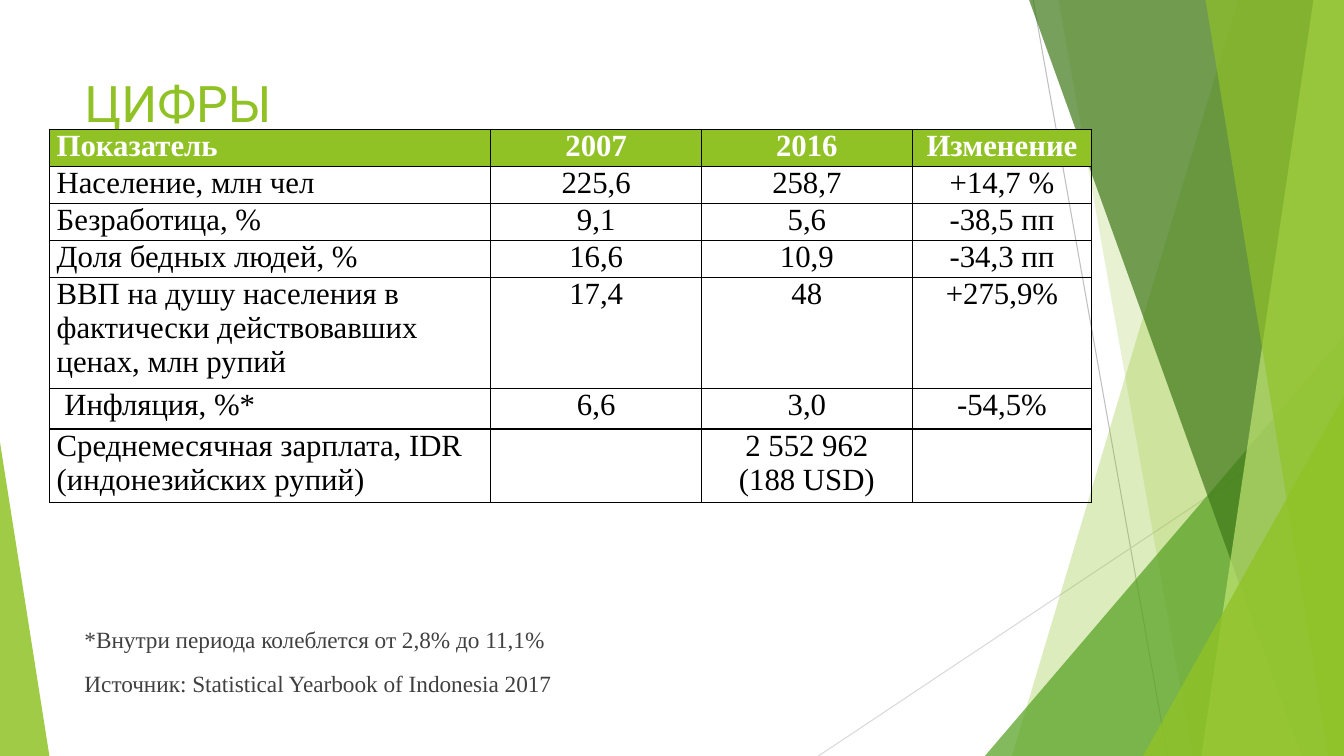
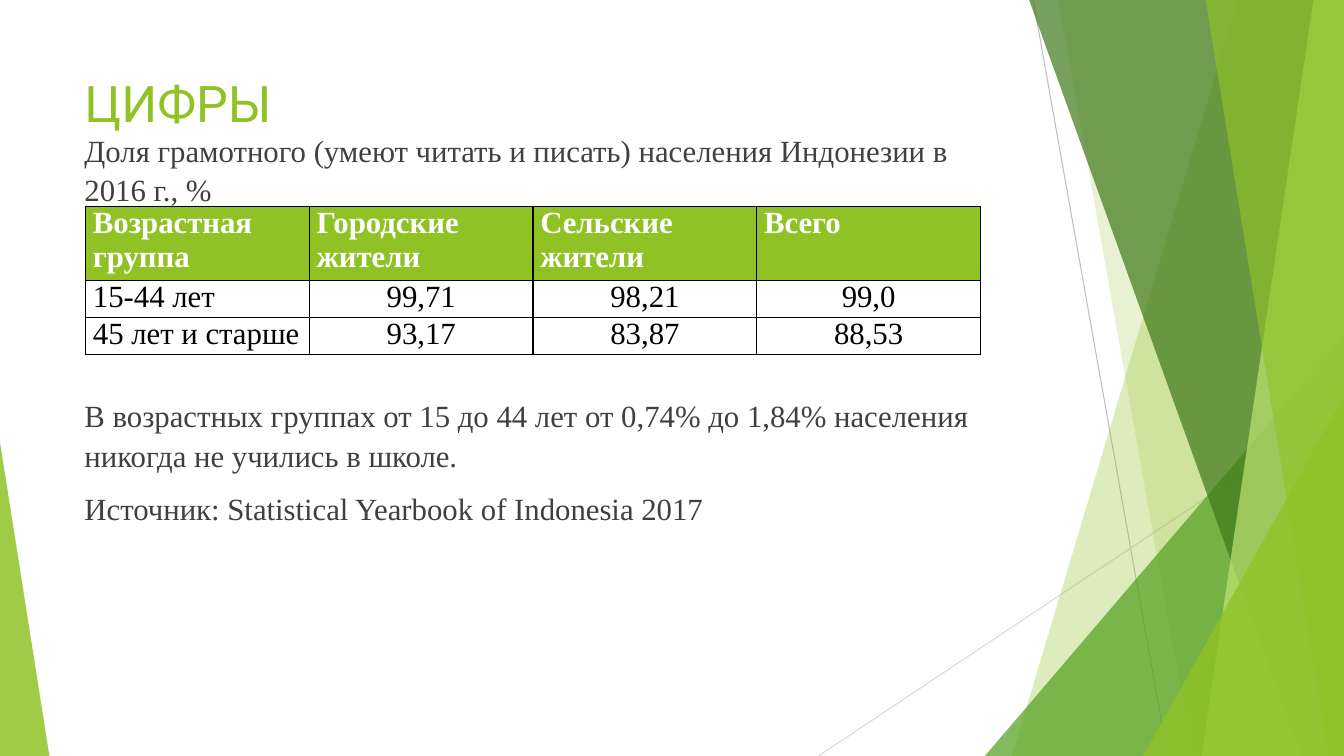
from lxml import etree
from pptx import Presentation
from pptx import util as u
from pptx.dml import color
from pptx.enum import shapes, text
from pptx.oxml import ns

GREEN, LEAF, FOREST, LIME = "90C226", "54A021", "3F7819", "C0E474"
WHITE, BLACK, GRAY = "FFFFFF", "000000", "404040"
TITLE_FONT, BODY_FONT = "Roboto", "Times New Roman"
WIDTH, HEIGHT = 960, 540
LEFT, TEXT_WIDTH = 53.3, 676.8
SOURCE = "Источник: Statistical Yearbook of Indonesia 2017"


def rgb(value):
    return color.RGBColor.from_string(value)


class Deck:
    def __init__(self):
        self.presentation = Presentation()
        self.presentation.slide_width = u.Pt(WIDTH)
        self.presentation.slide_height = u.Pt(HEIGHT)
        self.slide = None

    def add_slide(self, title):
        layout = self.presentation.slide_layouts[6]
        self.slide = self.presentation.slides.add_slide(layout)
        self.decorate()
        self.text_box(48.2, 103.7, [title], 36, TITLE_FONT, GREEN)

    def decorate(self):
        self.line(738, 0, 834, HEIGHT, "BFBFBF")
        self.line(WIDTH, 290, 584.6, HEIGHT, "D9D9D9")
        self.band(884.2, 722.9, GREEN, 30)
        self.band(756, 851.8, GREEN, 20)
        self.triangle(703.5, 239.8, WIDTH, 1, LEAF, 72)
        self.band(735.1, 929.5, FOREST, 70)
        self.band(938.2, 858.2, LIME, 70)
        self.band(861.1, 949, GREEN, 65)
        self.triangle(816.5, 283, WIDTH, 1, GREEN, 80)
        self.triangle(0, 316, 35.3, 0, GREEN, 85)

    def line(self, x1, y1, x2, y2, stroke):
        connector = self.slide.shapes.add_connector(
            shapes.MSO_CONNECTOR.STRAIGHT, u.Pt(x1), u.Pt(y1), u.Pt(x2), u.Pt(y2))
        connector.line.color.rgb = rgb(stroke)
        connector.line.width = u.Pt(0.75)
        etree.SubElement(connector._element.spPr, ns.qn("a:effectLst"))

    def band(self, top_x, bottom_x, fill, opacity):
        builder = self.slide.shapes.build_freeform(u.Pt(top_x), 0)
        corners = [(WIDTH, 0), (WIDTH, HEIGHT), (bottom_x, HEIGHT)]
        builder.add_line_segments([(u.Pt(x), u.Pt(y)) for x, y in corners])
        self.paint(builder.convert_to_shape(), fill, opacity)

    def triangle(self, left, top, right, apex, fill, opacity):
        shape = self.slide.shapes.add_shape(
            shapes.MSO_SHAPE.ISOSCELES_TRIANGLE, u.Pt(left), u.Pt(top),
            u.Pt(right - left), u.Pt(HEIGHT - top))
        shape.adjustments[0] = apex
        self.paint(shape, fill, opacity)

    def paint(self, shape, fill, opacity):
        shape.shadow.inherit = False
        shape.line.fill.background()
        shape.fill.solid()
        shape.fill.fore_color.rgb = rgb(fill)
        tint = shape._element.spPr.find(".//" + ns.qn("a:srgbClr"))
        etree.SubElement(tint, ns.qn("a:alpha"), val=str(opacity * 1000))

    def style(self, paragraph, size, font, fill, bold=False):
        for run in paragraph.runs:
            run.font.size = u.Pt(size)
            run.font.name = font
            run.font.bold = bold
            run.font.color.rgb = rgb(fill)

    def text_box(self, top, height, lines, size, font=BODY_FONT, fill=GRAY, spacing=1):
        shape = self.slide.shapes.add_textbox(
            u.Pt(LEFT), u.Pt(top), u.Pt(TEXT_WIDTH), u.Pt(height))
        frame = shape.text_frame
        frame.word_wrap = True
        frame.text = "\n".join(lines)
        for index, paragraph in enumerate(frame.paragraphs):
            paragraph.line_spacing = spacing
            paragraph.space_before = u.Pt(10 if index else 0)
            self.style(paragraph, size, font, fill)

    def body(self, top, height, lines, size):
        self.text_box(top, height, lines, size, spacing=1.07)

    def table(self, left, top, widths, heights, rows, center_header):
        frame = self.slide.shapes.add_table(
            len(rows), len(widths), u.Pt(left), u.Pt(top),
            u.Pt(sum(widths)), u.Pt(sum(heights)))
        table = frame.table
        table.horz_banding = False
        for column, width in zip(table.columns, widths):
            column.width = u.Pt(width)
        for row, height in zip(table.rows, heights):
            row.height = u.Pt(height)
        for row_index, values in enumerate(rows):
            header = row_index == 0
            for column_index, value in enumerate(values):
                centered = column_index > 0 and (center_header or not header)
                self.cell(table.cell(row_index, column_index), value, header, centered)

    def cell(self, cell, value, header, centered):
        cell.margin_left = cell.margin_right = u.Pt(5.2)
        cell.margin_top = cell.margin_bottom = 0
        self.borders(cell)
        if header:
            cell.fill.solid()
            cell.fill.fore_color.rgb = rgb(GREEN)
        else:
            cell.fill.background()
        cell.text_frame.text = value
        for paragraph in cell.text_frame.paragraphs:
            if centered:
                paragraph.alignment = text.PP_ALIGN.CENTER
            self.style(paragraph, 22, BODY_FONT, WHITE if header else BLACK, header)

    def borders(self, cell):
        properties = cell._tc.get_or_add_tcPr()
        for side in ("lnL", "lnR", "lnT", "lnB"):
            border = etree.SubElement(properties, ns.qn("a:" + side), w=str(u.Pt(1)))
            fill = etree.SubElement(border, ns.qn("a:solidFill"))
            etree.SubElement(fill, ns.qn("a:srgbClr"), val=BLACK)


def add_indicators(deck):
    deck.add_slide("ЦИФРЫ")
    deck.body(442, 60, ["*Внутри периода колеблется от 2,8% до 11,1%", SOURCE], 16.6)
    rows = [
        ("Показатель", "2007", "2016", "Изменение"),
        ("Население, млн чел", "225,6", "258,7", "+14,7 %"),
        ("Безработица, %", "9,1", "5,6", "-38,5 пп"),
        ("Доля бедных людей, %", "16,6", "10,9", "-34,3 пп"),
        ("ВВП на душу населения в фактически действовавших ценах, млн рупий",
         "17,4", "48", "+275,9%"),
        (" Инфляция, %*", "6,6", "3,0", "-54,5%"),
        ("Среднемесячная зарплата, IDR (индонезийских рупий)",
         "", "2 552 962\n(188 USD)", ""),
    ]
    heights = [25.4] * 4 + [73.1, 29, 51]
    deck.table(35.3, 92.5, [315.3, 150.5, 150.5, 128.2], heights, rows, True)


def add_literacy(deck):
    deck.add_slide("ЦИФРЫ")
    deck.body(88.6, 60, ["Доля грамотного (умеют читать и писать) населения "
                         "Индонезии в 2016 г., %"], 22)
    deck.body(278, 100, ["В возрастных группах от 15 до 44 лет от 0,74% до 1,84% "
                         "населения никогда не учились в школе.", SOURCE], 22)
    rows = [
        ("Возрастная группа", "Городские жители", "Сельские жители", "Всего"),
        ("15-44 лет", "99,71", "98,21", "99,0"),
        ("45 лет и старше", "93,17", "83,87", "88,53"),
    ]
    deck.table(61.2, 147.5, [159.8] * 4, [48.8, 24.4, 24.4], rows, False)


def main():
    deck = Deck()
    add_indicators(deck)
    add_literacy(deck)
    deck.presentation.save("out.pptx")


if __name__ == "__main__":
    main()
